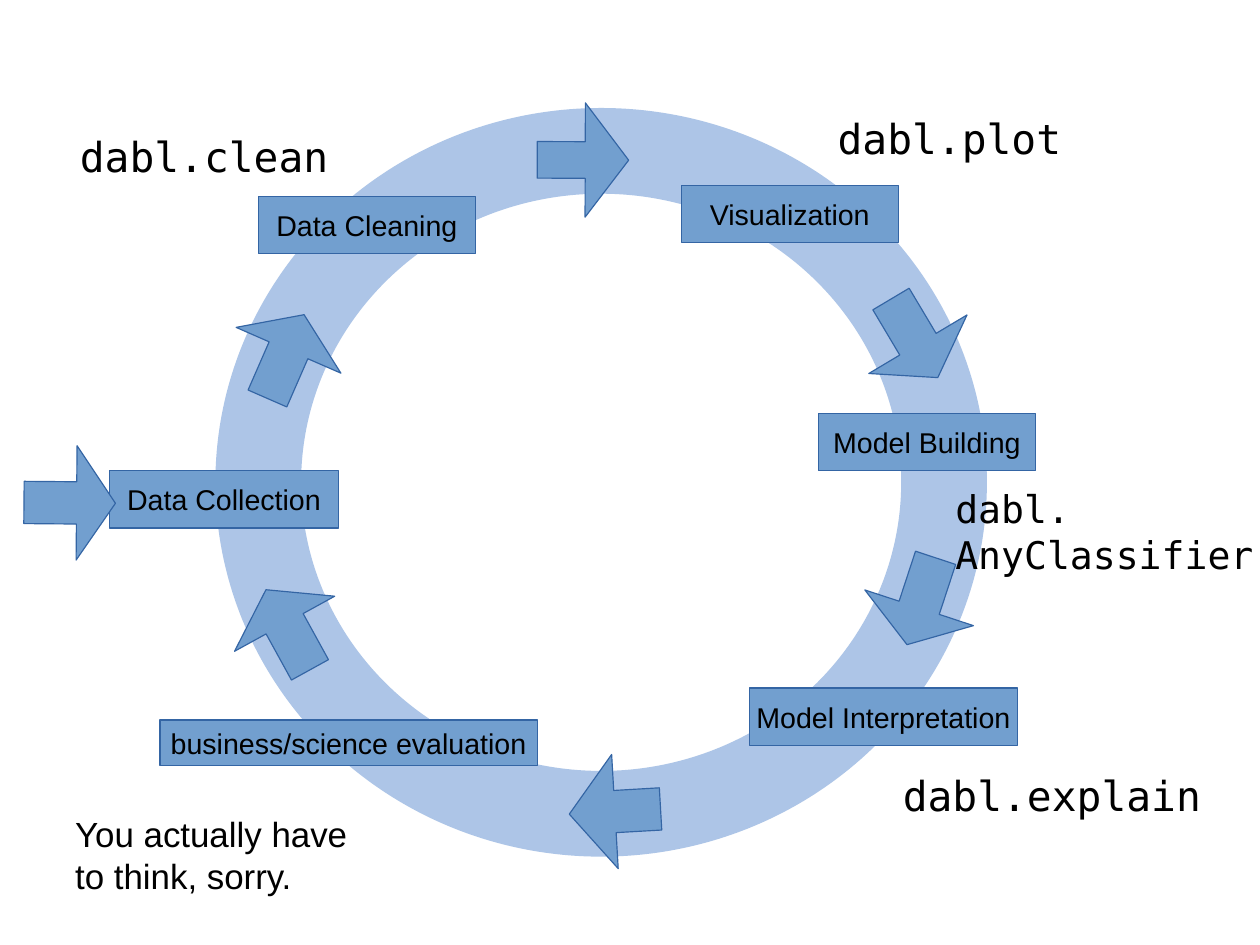
from pptx import Presentation
from pptx.dml.color import RGBColor
from pptx.enum.shapes import MSO_SHAPE
from pptx.enum.text import MSO_ANCHOR, PP_ALIGN
from pptx.util import Cm, Emu, Pt

PX = 9144  # 100 px to the inch
WIDE, HIGH = Cm(28), Cm(21)
OVAL, RECT, ARROW = MSO_SHAPE.OVAL, MSO_SHAPE.RECTANGLE, MSO_SHAPE.UP_ARROW
TOP, MIDDLE = MSO_ANCHOR.TOP, MSO_ANCHOR.MIDDLE
LEFT, CENTER = PP_ALIGN.LEFT, PP_ALIGN.CENTER

BLACK = RGBColor(0x00, 0x00, 0x00)
BLUE = RGBColor(0x72, 0x9F, 0xCF)
EDGE = RGBColor(0x34, 0x65, 0xA4)
PALE = RGBColor(0xAD, 0xC5, 0xE7)
SANS, MONO = "Arial", "DejaVu Sans Mono"

LABEL = {"name": SANS, "size": Pt(18)}
CODE = {"name": MONO, "size": Pt(26)}
CLASS = {"name": MONO, "size": Pt(24)}
REMARK = {"name": SANS, "size": Pt(22)}

# Stages: text, then left, top, width, height from the ring's corner
STAGES = [
    ("Data Collection", -130, 280, 200, 50),
    ("Data Cleaning", 0, 40, 190, 50),
    ("Visualization", 370, 30, 190, 50),
    ("Model Building", 490, 230, 190, 50),
    ("Model Interpretation", 430, 470, 234, 50),
    ("business/science evaluation", -86, 498, 330, 40),
]

# Arrows: left, top from the ring's corner, turn, shaft and head size
STEPS = [
    (-26, 140, 23.6, 37, 34),
    (262, 538, 266.7, 37, 40),
    (524, 124, 149.2, 37, 34),
    (-24, 379, 331.2, 37, 34),
    (-215, 268, 90.5, 37, 34),
    (530, 354, 198.2, 37, 34),
    (234, -32, 90.2, 32, 38),
]
SPAN, LONG = 100, 80

# Notes: text, format, then left, top, width, height
NOTES = [
    ("dabl.clean", CODE, 60, 110, 238, 43),
    ("dabl.plot", CODE, 723, 94, 257, 76),
    ("dabl.\vAnyClassifier", CLASS, 826, 420, 326, 117),
    ("dabl.explain", CODE, 780, 669, 312, 81),
    ("You actually have to think, sorry.", REMARK, 56, 706, 290, 94),
]


def place(*box):
    return [Emu(n * PX) for n in box]


def write(shape, text, style, align, anchor, wrap):
    frame = shape.text_frame
    side, edge = place(10, 5)
    layout = {"text": text, "word_wrap": wrap, "vertical_anchor": anchor,
              "margin_left": side, "margin_right": side,
              "margin_top": edge, "margin_bottom": edge}
    for key, value in layout.items():
        setattr(frame, key, value)
    para = frame.paragraphs[0]
    para.alignment = align
    for run in para.runs:
        for key, value in style.items():
            setattr(run.font, key, value)
        run.font.color.rgb = BLACK


def block(slide, kind, *box):
    shape = slide.shapes.add_shape(kind, *place(*box))
    shape.shadow.inherit = False
    shape.fill.solid()
    shape.fill.fore_color.rgb = BLUE
    shape.line.color.rgb = EDGE
    shape.line.width = Pt(0.75)
    return shape


def draw_cycle(slide, left, top, width, height):
    # Ring
    ring = block(slide, OVAL, left, top, width, height)
    ring.fill.background()
    ring.line.color.rgb = PALE
    ring.line.width = Pt(54)

    # Stages
    for text, x, y, w, h in STAGES:
        stage = block(slide, RECT, left + x, top + y, w, h)
        write(stage, text, LABEL, CENTER, MIDDLE, False)

    # Arrows
    for x, y, turn, shaft, head in STEPS:
        arrow = block(slide, ARROW, left + x, top + y, SPAN, LONG)
        arrow.rotation = turn
        arrow.adjustments[0] = shaft / SPAN
        arrow.adjustments[1] = head / LONG


def draw_notes(slide, left, top):
    for text, style, x, y, w, h in NOTES:
        note = slide.shapes.add_textbox(*place(left + x, top + y, w, h))
        write(note, text, style, LEFT, TOP, True)


def main():
    deck = Presentation()
    deck.slide_width, deck.slide_height = WIDE, HIGH
    slide = deck.slides.add_slide(deck.slide_layouts[6])
    draw_cycle(slide, 226, 132, 600, 580)
    draw_notes(slide, 0, 0)
    deck.save("out.pptx")


if __name__ == "__main__":
    main()
